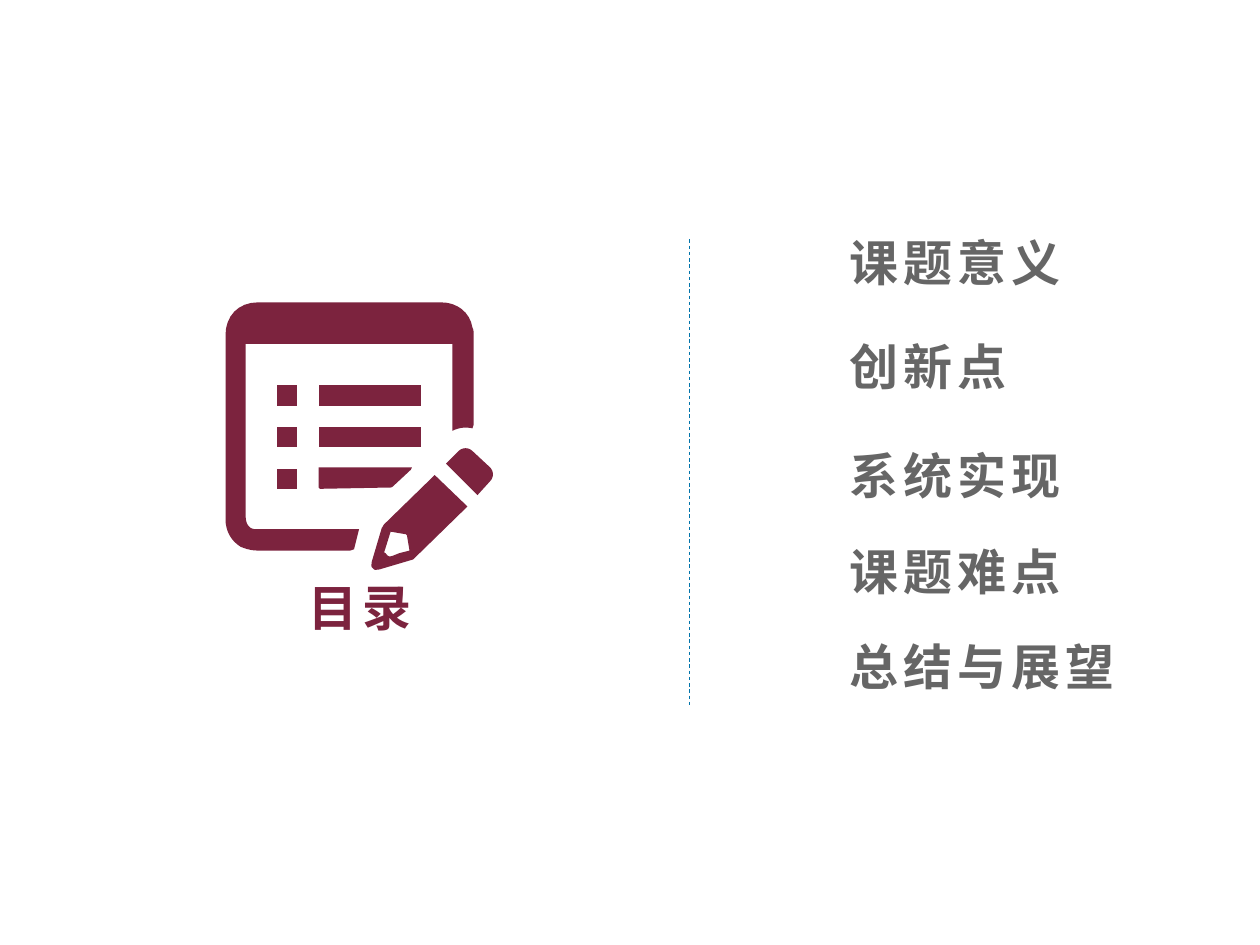
import pptx
import pptx.dml.color
import pptx.enum.dml
import pptx.enum.shapes
import pptx.enum.text
import pptx.oxml
import pptx.oxml.ns
import pptx.util
from pptx.util import Inches

COLORS = {"wine": "7C233E", "grey": "666666", "divider": "0174AB"}
FONT = "Noto Sans CJK SC"
CURVE_STEPS = 8

TOPICS = [
    ("课题意义", 1.8, 1.96),
    ("创新点", 2.62, 1.96),
    ("系统实现", 3.49, 1.96),
    ("课题难点", 4.25, 1.96),
    ("总结与展望", 5, 2.36),
]

# Two numbers are a corner; six are a cubic curve's two controls and its end.
PAGE_FRAME = [
    (2.85, 4.2), (2.81, 4.36), (2.78, 4.37), (2.05, 4.37),
    (2, 4.37, 1.96, 4.36, 1.91, 4.34), (1.83, 4.29, 1.79, 4.21, 1.79, 4.12),
    (1.79, 2.66), (1.79, 2.51, 1.89, 2.4, 2.05, 2.4),
    (3.5, 2.4), (3.63, 2.4, 3.73, 2.48, 3.75, 2.6),
    (3.76, 2.62, 3.76, 2.64, 3.76, 2.66), (3.76, 3.37), (3.75, 3.4),
    (3.7, 3.39, 3.65, 3.39, 3.59, 3.42), (3.59, 2.73), (1.95, 2.73),
    (1.95, 4.1), (1.95, 4.16, 1.98, 4.21, 2.05, 4.2),
]
PENCIL_BODY = [
    (3.45, 3.77), (3.71, 4.02), (3.31, 4.41),
    (3.3, 4.42, 3.29, 4.43, 3.28, 4.44), (3.01, 4.52),
    (2.99, 4.52, 2.97, 4.53, 2.96, 4.51), (2.94, 4.5, 2.95, 4.48, 2.95, 4.46),
    (3.03, 4.19), (3.04, 4.18, 3.04, 4.17, 3.05, 4.16),
]
PENCIL_TIP = [
    (3.1, 4.22), (3.05, 4.38), (3.05, 4.38, 3.05, 4.39, 3.06, 4.39),
    (3.08, 4.42, 3.09, 4.42, 3.12, 4.41), (3.17, 4.39), (3.25, 4.37),
    (3.23, 4.25), (3.22, 4.24),
]
PENCIL_END = [
    (3.54, 3.68), (3.64, 3.58), (3.67, 3.55, 3.72, 3.55, 3.75, 3.58),
    (3.89, 3.71), (3.92, 3.74, 3.92, 3.79, 3.89, 3.82), (3.79, 3.93),
]
CUT_LINE = [
    (2.53, 3.71), (3.27, 3.71), (3.26, 3.73), (3.12, 3.86),
    (3.11, 3.87, 3.1, 3.87, 3.09, 3.87), (2.54, 3.88), (2.53, 3.87),
]


def rgb(name):
    """Return the named palette colour."""
    return pptx.dml.color.RGBColor.from_string(COLORS[name])


def flatten(outline):
    """Turn corners and curves into a list of EMU points."""
    points = []
    for step in outline:
        if len(step) == 2:
            points.append(step)
            continue
        curve = [points[-1], step[:2], step[2:4], step[4:]]
        for index in range(1, CURVE_STEPS + 1):
            t = index / CURVE_STEPS
            weights = ((1 - t) ** 3, 3 * t * (1 - t) ** 2, 3 * t * t * (1 - t), t ** 3)
            points.append(tuple(
                sum(w * p[axis] for w, p in zip(weights, curve)) for axis in (0, 1)))
    return [(Inches(x), Inches(y)) for x, y in points]


def block(left, top, width, height):
    """Return the outline of an upright rectangle."""
    right, bottom = left + width, top + height
    return [(left, top), (right, top), (right, bottom), (left, bottom)]


def add_outline(icon, *outlines):
    """Add one filled freeform; later outlines become holes."""
    first, *holes = [flatten(outline) for outline in outlines]
    builder = icon.shapes.build_freeform(*first[0])
    builder.add_line_segments(first[1:], close=True)
    for hole in holes:
        builder.move_to(*hole[0])
        builder.add_line_segments(hole[1:], close=True)
    part = builder.convert_to_shape()
    part.fill.solid()
    part.fill.fore_color.rgb = rgb("wine")
    part.line.fill.background()
    part.shadow.inherit = False


def add_icon(slide):
    """Draw the checklist page with its pencil as one group."""
    icon = slide.shapes.add_group_shape()
    add_outline(icon, PAGE_FRAME)
    add_outline(icon, PENCIL_BODY, PENCIL_TIP)
    add_outline(icon, PENCIL_END)
    for row in range(3):
        top = 3.06 + 0.33 * row
        add_outline(icon, block(2.2, top, 0.16, 0.16))
        if row < 2:
            add_outline(icon, block(2.53, top, 0.81, 0.16))
    add_outline(icon, CUT_LINE)


def add_divider(slide):
    """Draw the dashed vertical divider."""
    divider = slide.shapes.add_connector(
        pptx.enum.shapes.MSO_CONNECTOR.STRAIGHT,
        Inches(5.47), Inches(1.9), Inches(5.47), Inches(5.6))
    divider.line.color.rgb = rgb("divider")
    divider.line.width = pptx.util.Pt(0.5)
    divider.line.dash_style = pptx.enum.dml.MSO_LINE.DASH
    properties = divider._element.spPr
    properties.append(pptx.oxml.parse_xml(
        "<a:effectLst %s/>" % pptx.oxml.ns.nsdecls("a")))


def write_text(holder, text, color="grey", align="LEFT", size=28, spacing=3):
    """Fill a text holder with one bold, letter-spaced line."""
    frame = holder.text_frame
    frame.word_wrap = True
    frame.auto_size = pptx.enum.text.MSO_AUTO_SIZE.SHAPE_TO_FIT_TEXT
    frame.vertical_anchor = pptx.enum.text.MSO_ANCHOR.TOP
    line = frame.paragraphs[0]
    line.alignment = getattr(pptx.enum.text.PP_ALIGN, align)
    run = line.add_run()
    run.text = text
    run.font.size = pptx.util.Pt(size)
    run.font.bold = True
    run.font.name = FONT
    run.font.color.rgb = rgb(color)
    properties = run._r.get_or_add_rPr()
    properties.set("spc", str(spacing * 100))
    east_asian = pptx.oxml.parse_xml(
        '<a:ea %s typeface="%s"/>' % (pptx.oxml.ns.nsdecls("a"), FONT))
    properties.find(pptx.oxml.ns.qn("a:latin")).addnext(east_asian)


def add_topic(slide, text, top, width):
    """Add one entry of the contents list."""
    topic = slide.shapes.add_textbox(
        Inches(6.64), Inches(top), Inches(width), Inches(0.6))
    write_text(topic, text)


def place_title(slide):
    """Move the title below the icon and fill it."""
    title = slide.shapes.title
    title.left, title.top = Inches(1.4), Inches(4.53)
    title.width, title.height = Inches(2.91), Inches(0.6)
    write_text(title, "目录", color="wine", align="CENTER")


def main():
    """Build the contents slide and save it."""
    deck = pptx.Presentation()
    deck.slide_width, deck.slide_height = Inches(10), Inches(7.5)
    slide = deck.slides.add_slide(deck.slide_layouts[5])
    add_divider(slide)
    for topic in TOPICS:
        add_topic(slide, *topic)
    add_icon(slide)
    place_title(slide)
    deck.save("out.pptx")


if __name__ == "__main__":
    main()
